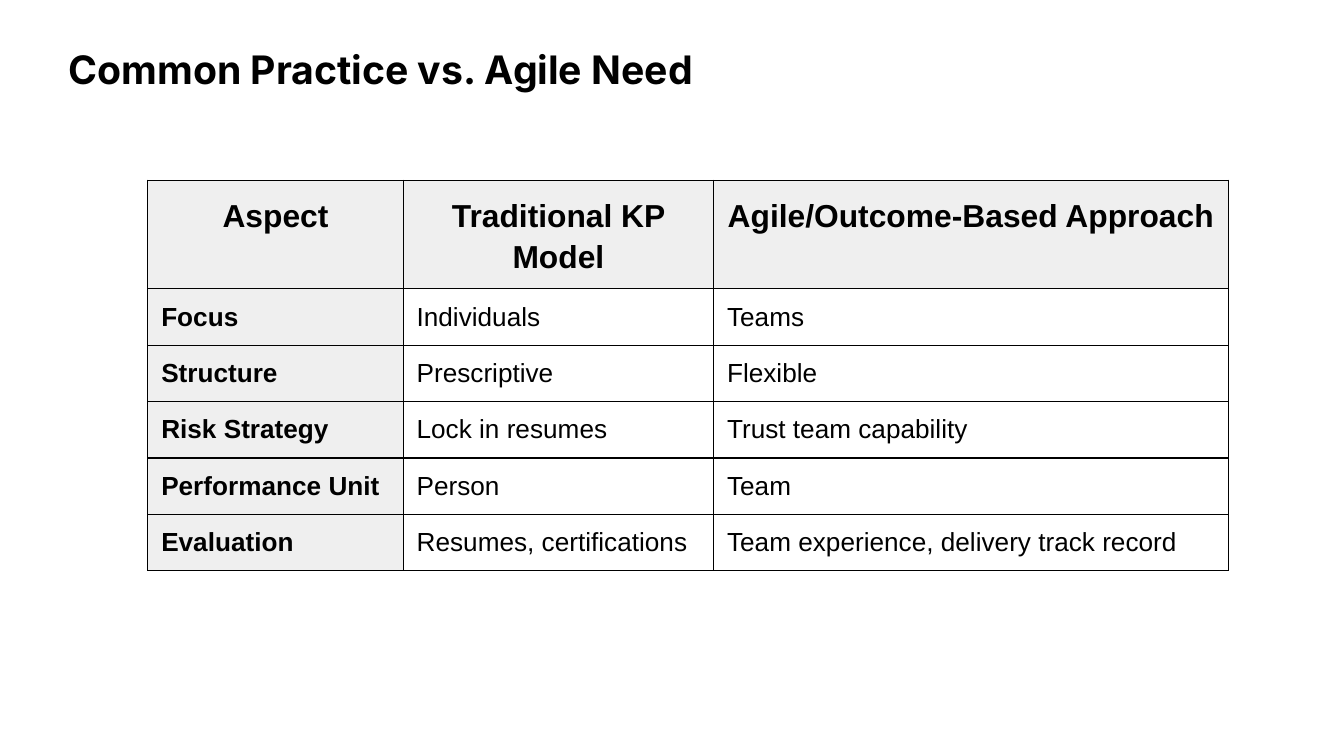
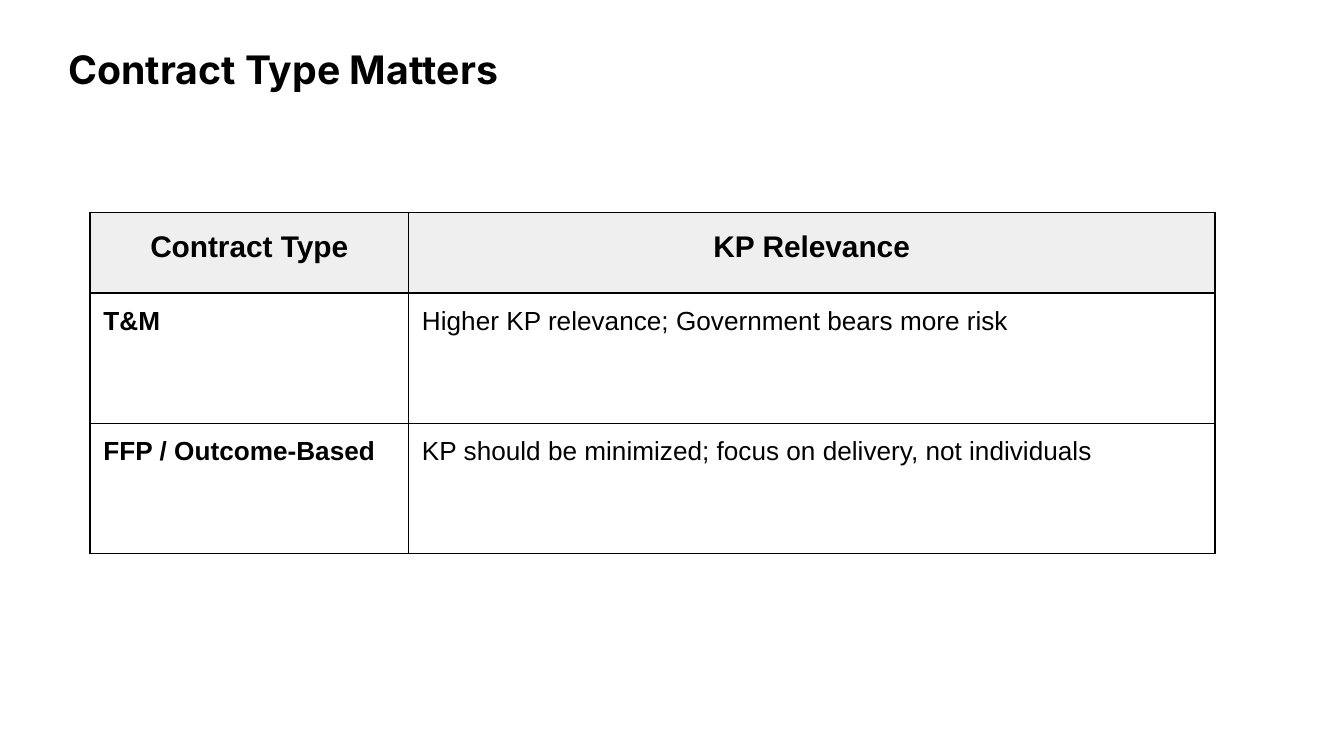
from dataclasses import dataclass

from lxml import etree
from pptx import Presentation
from pptx import util as u
from pptx.dml.color import RGBColor
from pptx.enum import text
from pptx.oxml import ns


@dataclass(frozen=True)
class Theme:
    ink: str = "000000"
    paper: str = "FFFFFF"
    shade: str = "EFEFEF"
    title_font: str = "Inter"
    table_font: str = "Arial"
    title_size: int = 21
    body_size: int = 14
    border: float = 0.75
    cell_margin: float = 0.1


@dataclass(frozen=True)
class Comparison:
    title: str
    left: float
    top: float
    columns: tuple[float, ...]
    header_height: float
    row_height: float
    header_size: int
    shade_labels: bool
    rows: tuple[tuple[str, ...], ...]


THEME = Theme()

COMPARISONS = (
    Comparison(
        "Common Practice vs. Agile Need", 1.1, 1.34, (1.9, 2.31, 3.83),
        header_height=0.8, row_height=0.42, header_size=17, shade_labels=True,
        rows=(
            ("Aspect", "Traditional KP Model", "Agile/Outcome-Based Approach"),
            ("Focus", "Individuals", "Teams"),
            ("Structure", "Prescriptive", "Flexible"),
            ("Risk Strategy", "Lock in resumes", "Trust team capability"),
            ("Performance Unit", "Person", "Team"),
            ("Evaluation", "Resumes, certifications",
             "Team experience, delivery track record"),
        ),
    ),
    Comparison(
        "Contract Type Matters", 0.67, 1.58, (2.37, 6),
        header_height=0.6, row_height=0.97, header_size=16, shade_labels=False,
        rows=(
            ("Contract Type", "KP Relevance"),
            ("T&M", "Higher KP relevance; Government bears more risk"),
            ("FFP / Outcome-Based",
             "KP should be minimized; focus on delivery, not individuals"),
        ),
    ),
)


def style_font(paragraph, name: str, size: int, bold: bool) -> None:
    font = paragraph.font
    font.name, font.size, font.bold = name, u.Pt(size), bold
    font.color.rgb = RGBColor.from_string(THEME.ink)


def draw_borders(cell) -> None:
    properties = cell._tc.get_or_add_tcPr()
    for side in ("lnL", "lnR", "lnT", "lnB"):
        line = etree.SubElement(properties, ns.qn(f"a:{side}"),
                                w=str(u.Pt(THEME.border)))
        solid = etree.SubElement(line, ns.qn("a:solidFill"))
        etree.SubElement(solid, ns.qn("a:srgbClr"), val=THEME.ink)


def fill_cell(cell, words: str, size: int, header: bool, bold: bool,
              shaded: bool) -> None:
    margin = u.Inches(THEME.cell_margin)
    cell.margin_left = cell.margin_right = margin
    cell.margin_top = cell.margin_bottom = margin
    cell.vertical_anchor = text.MSO_ANCHOR.TOP
    draw_borders(cell)
    if shaded:
        cell.fill.solid()
        cell.fill.fore_color.rgb = RGBColor.from_string(THEME.shade)
    else:
        cell.fill.background()

    cell.text = words
    paragraph = cell.text_frame.paragraphs[0]
    paragraph.alignment = text.PP_ALIGN.CENTER if header else text.PP_ALIGN.LEFT
    paragraph.line_spacing = 1.15 if header else 1.0
    style_font(paragraph, THEME.table_font, size, bold)


def add_title(slide, words: str) -> None:
    title = slide.shapes.title
    title.left, title.top = u.Inches(0.41), u.Inches(0.29)
    title.width, title.height = u.Inches(7.58), u.Inches(0.38)
    frame = title.text_frame
    frame.text = words
    frame.word_wrap = True
    frame.auto_size = text.MSO_AUTO_SIZE.NONE
    frame.vertical_anchor = text.MSO_ANCHOR.MIDDLE
    frame.margin_left = frame.margin_right = u.Inches(0.1)
    frame.margin_top = frame.margin_bottom = u.Inches(0.05)
    paragraph = frame.paragraphs[0]
    paragraph.alignment = text.PP_ALIGN.LEFT
    paragraph.line_spacing = 1.2
    style_font(paragraph, THEME.title_font, THEME.title_size, True)


def add_comparison_table(slide, comparison: Comparison) -> None:
    rows, columns = comparison.rows, comparison.columns
    body_height = comparison.row_height * (len(rows) - 1)
    table = slide.shapes.add_table(
        len(rows), len(columns),
        u.Inches(comparison.left), u.Inches(comparison.top),
        u.Inches(sum(columns)),
        u.Inches(comparison.header_height + body_height),
    ).table
    table.first_row = table.horz_banding = False

    for column, width in zip(table.columns, columns):
        column.width = u.Inches(width)
    for r, row in enumerate(rows):
        header = r == 0
        table.rows[r].height = u.Inches(
            comparison.header_height if header else comparison.row_height)
        for c, words in enumerate(row):
            label = c == 0
            fill_cell(
                table.cell(r, c), words,
                size=comparison.header_size if header else THEME.body_size,
                header=header, bold=header or label,
                shaded=header or (label and comparison.shade_labels),
            )


def main() -> None:
    deck = Presentation()
    # Widescreen, 16:9
    deck.slide_width = u.Inches(10)
    deck.slide_height = u.Inches(10 * 9 / 16)
    title_only = deck.slide_layouts[5]

    # One title and one table per slide
    for comparison in COMPARISONS:
        slide = deck.slides.add_slide(title_only)
        slide.background.fill.solid()
        slide.background.fill.fore_color.rgb = RGBColor.from_string(THEME.paper)
        add_title(slide, comparison.title)
        add_comparison_table(slide, comparison)

    deck.save("out.pptx")


if __name__ == "__main__":
    main()
